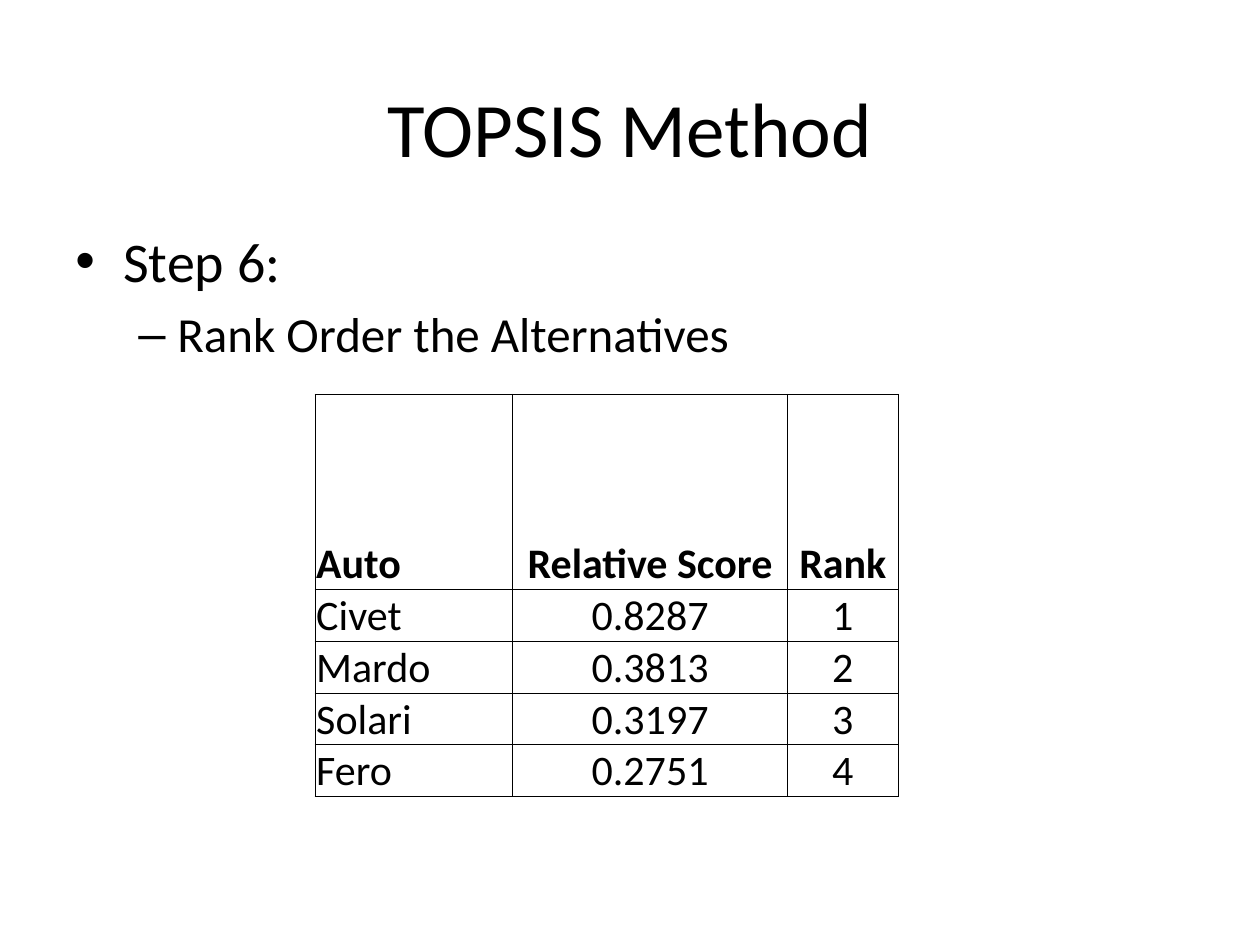
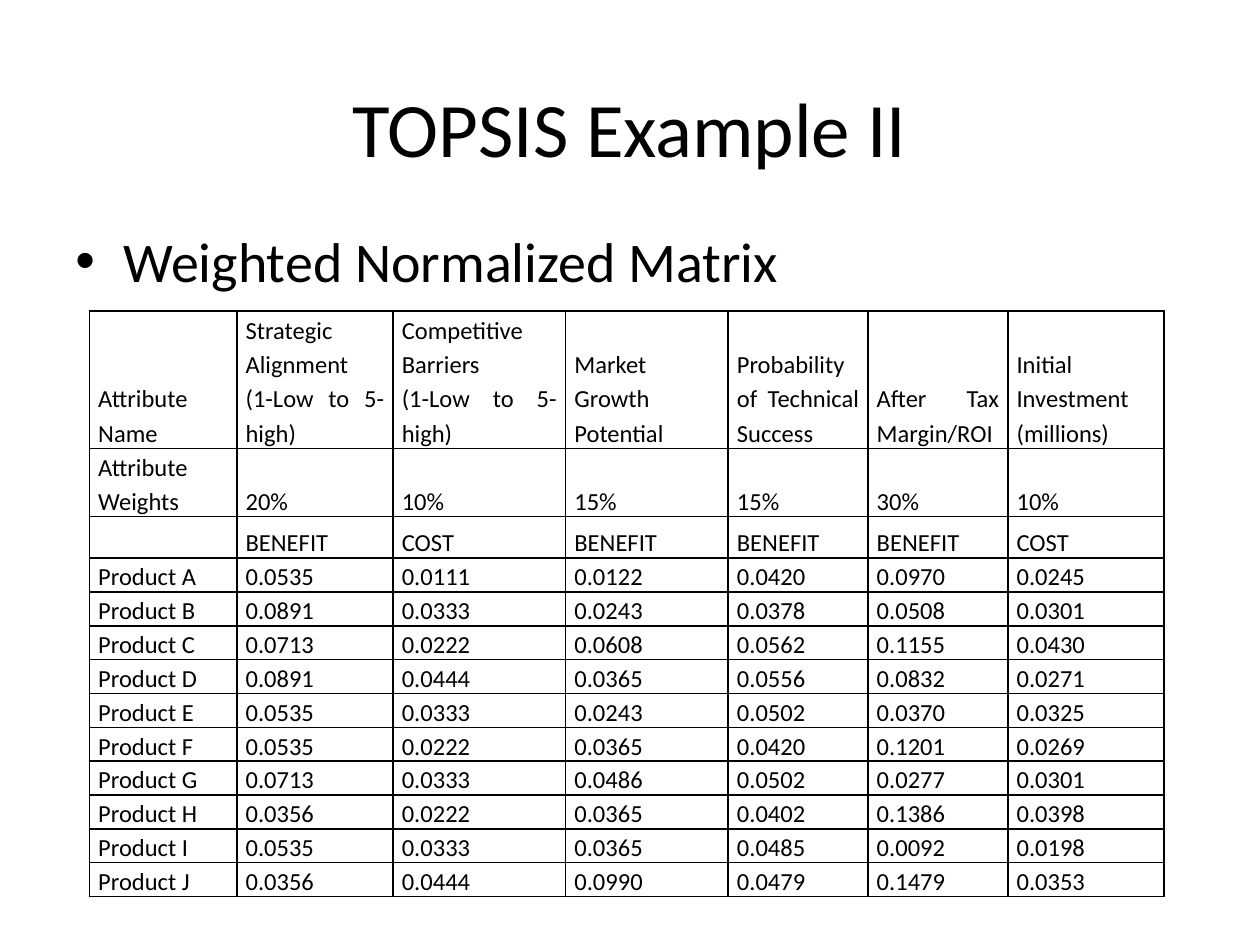
import pptx
import pptx.dml.color
import pptx.enum.text
import pptx.oxml
import pptx.util
from pptx.util import Inches, Pt

BLACK, WHITE = "000000", "FFFFFF"
NS = 'xmlns:a="http://schemas.openxmlformats.org/drawingml/2006/main"'
ALIGN = pptx.enum.text.PP_ALIGN
ANCHOR = pptx.enum.text.MSO_ANCHOR

TITLE = dict(alignment=ALIGN.CENTER)
# bullet sign, font size, left indent and hanging indent of each level
LEVELS = [("•", 32, 0.38, -0.38), ("–", 28, 0.81, -0.31)]


def rgb(value):
    return pptx.dml.color.RGBColor.from_string(value)


def add_para(tf, text, size, para, bold=False):
    """Fill the first paragraph if it is empty, otherwise append one."""
    p = tf.paragraphs[0]
    if p.runs:
        p = tf.add_paragraph()
    for name, value in para.items():
        setattr(p, name, value)
    r = p.add_run()
    r.text = text
    for name, value in dict(name="Calibri", size=Pt(size), bold=bold).items():
        setattr(r.font, name, value)
    r.font.color.rgb = rgb(BLACK)
    return p


ranking = [
    ["Auto", "Relative Score", "Rank"],
    ["Civet", "0.8287", "1"],
    ["Mardo", "0.3813", "2"],
    ["Solari", "0.3197", "3"],
    ["Fero", "0.2751", "4"],
]

product_scores = """\
0.0535 0.0111 0.0122 0.0420 0.0970 0.0245
0.0891 0.0333 0.0243 0.0378 0.0508 0.0301
0.0713 0.0222 0.0608 0.0562 0.1155 0.0430
0.0891 0.0444 0.0365 0.0556 0.0832 0.0271
0.0535 0.0333 0.0243 0.0502 0.0370 0.0325
0.0535 0.0222 0.0365 0.0420 0.1201 0.0269
0.0713 0.0333 0.0486 0.0502 0.0277 0.0301
0.0356 0.0222 0.0365 0.0402 0.1386 0.0398
0.0535 0.0333 0.0365 0.0485 0.0092 0.0198
0.0356 0.0444 0.0990 0.0479 0.1479 0.0353"""

weighted_matrix = [
    ["Attribute Name", "Strategic Alignment\n(1-Low to 5-high)",
     "Competitive Barriers\n(1-Low to 5-high)", "Market Growth Potential",
     "Probability of Technical Success", "After Tax Margin/ROI",
     "Initial Investment (millions)"],
    ["Attribute Weights", "20%", "10%", "15%", "15%", "30%", "10%"],
    ["", "BENEFIT", "COST", "BENEFIT", "BENEFIT", "BENEFIT", "COST"],
]
for letter, scores in zip("ABCDEFGHIJ", product_scores.splitlines()):
    weighted_matrix.append([f"Product {letter}"] + scores.split())

slides = [
    dict(title="TOPSIS Method", bullets=["Step 6:", "Rank Order the Alternatives"],
         rows=ranking, left=2.5, top=3.13, widths=[1.57, 2.18, 0.88],
         heights=[1.55] + [0.39] * 4, size=24, bold_header=True, border=0.5, fill=None,
         margins=(0.01, 0.01, 0.01, 0), first=dict(alignment=ALIGN.LEFT),
         other=dict(alignment=ALIGN.CENTER)),
    dict(title="TOPSIS Example II", bullets=["Weighted Normalized Matrix"],
         rows=weighted_matrix, left=0.71, top=2.47,
         widths=[1.17, 1.24, 1.37, 1.29, 1.11, 1.11, 1.24],
         heights=[1.09, 0.54, 0.33] + [0.26] * 10, size=14, bold_header=False, border=1,
         fill=WHITE, margins=(0.07, 0, 0.07, 0),
         first=dict(alignment=ALIGN.JUSTIFY, line_spacing=1.15),
         other=dict(alignment=ALIGN.JUSTIFY, line_spacing=1.15)),
]

prs = pptx.Presentation()
prs.slide_width, prs.slide_height = Inches(10), Inches(7.5)

for content in slides:
    s = prs.slides.add_slide(prs.slide_layouts[6])
    s.background.fill.solid()
    s.background.fill.fore_color.rgb = rgb(WHITE)

    tf = s.shapes.add_textbox(Inches(0.5), Inches(0.38), Inches(9), Inches(1.25)).text_frame
    tf.word_wrap = True
    tf.vertical_anchor = ANCHOR.MIDDLE
    add_para(tf, content["title"], 44, TITLE)

    tf = s.shapes.add_textbox(Inches(0.5), Inches(1.75), Inches(9), Inches(4.95)).text_frame
    tf.word_wrap = True
    for level, text in enumerate(content["bullets"]):
        sign, size, left, hanging = LEVELS[level]
        p = add_para(tf, text, size, dict(level=level, space_before=Pt(size * 0.2)))
        pPr = p._p.get_or_add_pPr()
        pPr.set("marL", str(Inches(left)))
        pPr.set("indent", str(Inches(hanging)))
        pPr.append(pptx.oxml.parse_xml(f'<a:buFont {NS} typeface="Arial"/>'))
        pPr.append(pptx.oxml.parse_xml(f'<a:buChar {NS} char="{sign}"/>'))

    rows, widths, heights = content["rows"], content["widths"], content["heights"]
    table = s.shapes.add_table(
        len(rows), len(widths), Inches(content["left"]), Inches(content["top"]),
        Inches(sum(widths)), Inches(sum(heights))).table
    table.first_row = table.horz_banding = False
    for column, width in zip(table.columns, widths):
        column.width = Inches(width)
    for row, height in zip(table.rows, heights):
        row.height = Inches(height)

    for i, row in enumerate(rows):
        for j, text in enumerate(row):
            cell = table.cell(i, j)
            cell.vertical_anchor = ANCHOR.BOTTOM
            for side, margin in zip(("left", "top", "right", "bottom"), content["margins"]):
                setattr(cell, f"margin_{side}", Inches(margin))
            for side in "LRTB":
                cell._tc.get_or_add_tcPr().append(pptx.oxml.parse_xml(
                    f'<a:ln{side} {NS} w="{Pt(content["border"])}"><a:solidFill>'
                    f'<a:srgbClr val="{BLACK}"/></a:solidFill></a:ln{side}>'))
            if content["fill"]:
                cell.fill.solid()
                cell.fill.fore_color.rgb = rgb(content["fill"])
            else:
                cell.fill.background()
            for line in text.splitlines():
                add_para(cell.text_frame, line, content["size"],
                         content["other"] if j else content["first"],
                         bold=content["bold_header"] and i == 0)

prs.save("out.pptx")
